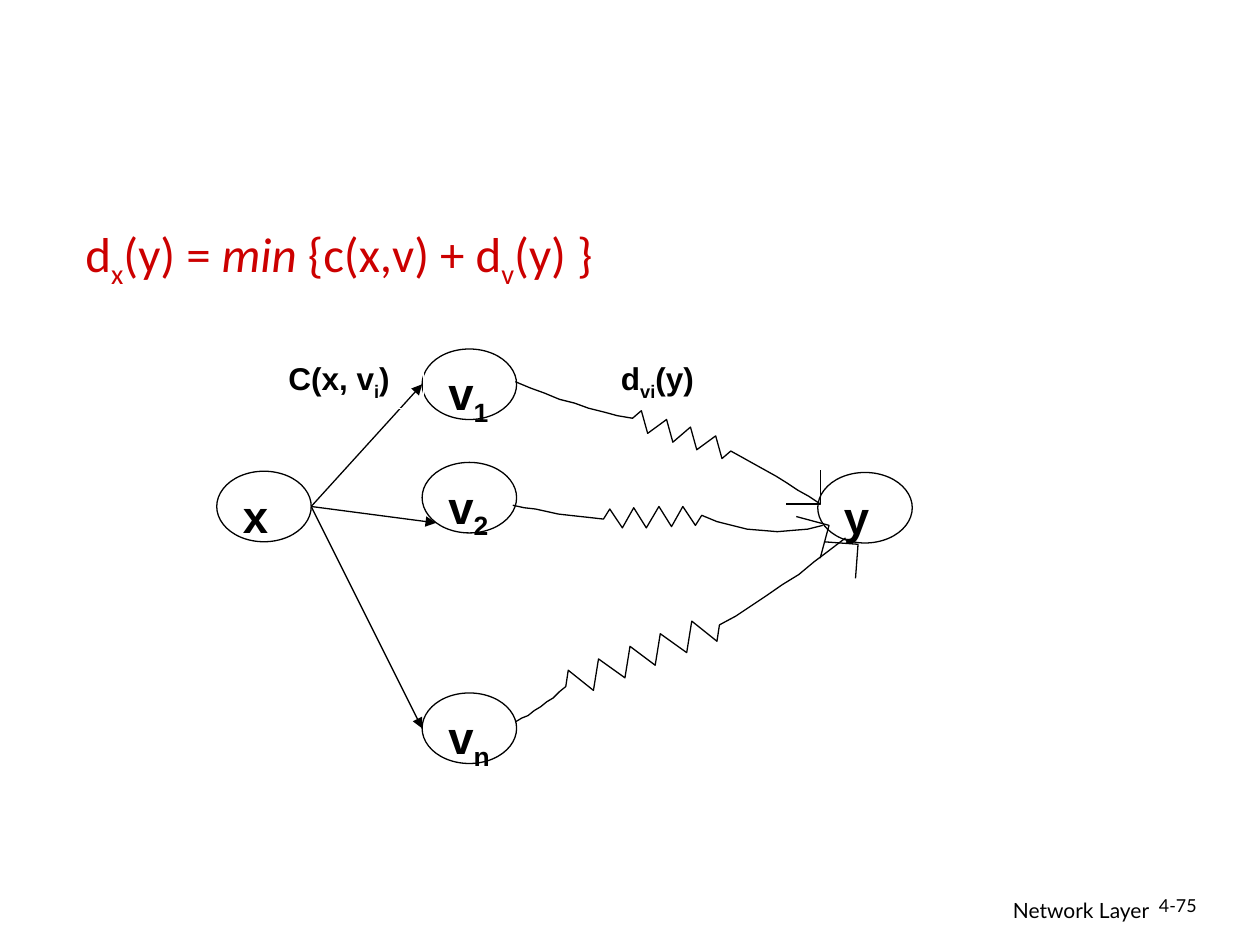
from math import cos, hypot, radians, sin

from lxml import etree
from pptx import Presentation
from pptx.dml.color import RGBColor
from pptx.enum.shapes import MSO_CONNECTOR, MSO_SHAPE
from pptx.enum.text import MSO_ANCHOR, MSO_AUTO_SIZE, PP_ALIGN
from pptx.oxml.ns import qn
from pptx.util import Cm, Pt

BLACK = RGBColor(0x00, 0x00, 0x00)
WHITE = RGBColor(0xFF, 0xFF, 0xFF)
RED = RGBColor(0xCC, 0x00, 0x00)
OVAL, RECTANGLE = MSO_SHAPE.OVAL, MSO_SHAPE.RECTANGLE
STRAIGHT = MSO_CONNECTOR.STRAIGHT
TOP = MSO_ANCHOR.TOP
LEFT, RIGHT = PP_ALIGN.LEFT, PP_ALIGN.RIGHT
FIT_SHAPE = MSO_AUTO_SIZE.SHAPE_TO_FIT_TEXT

# All positions are on a grid of hundredths of an inch.
GRID = Cm(0.0254)
LINE_WIDTH = Pt(0.75)

# Text is a list of (text, style); style is "", "sub" or "italic".
FORMULA = [("d", ""), ("x", "sub"), ("(y) = ", ""), ("min", "italic"),
           (" {c(x,v) + d", ""), ("v", "sub"), ("(y) }", "")]

NODE_WIDTH, NODE_HEIGHT = 75, 56
SOURCE = (172, 374)
TARGET = (649, 375)
VIA_LEFT = 335
VIA_TOPS = {"1": 277, "n": 550, "2": 367}
ARROW_SHIFTS = {"1": (0, 0), "2": (11, 20), "n": (0, 0)}

LABEL_SIZE = (117, 44)
LABELS = [
    ((219, 280), [("C(x, v", ""), ("i", "sub"), (")", "")]),
    ((483, 280), [("d", ""), ("vi", "sub"), ("(y)", "")]),
]

# A route runs from start to end, with a zigzag between the two middle points.
# Each sag is how far a lead bends downwards at its middle.
ROUTES = [
    {"start": (409, 303), "zigzag": ((502, 332), (580, 358)), "end": (651, 400),
     "teeth": 4, "height": 8, "sags": (3, -1), "tip": (651, 400), "heading": 225},
    {"start": (407, 401), "zigzag": ((479, 412), (557, 409)), "end": (653, 417),
     "teeth": 4, "height": 8, "sags": (1, 8), "tip": (658, 417), "heading": 150},
    {"start": (409, 573), "zigzag": ((449, 545), (571, 496)), "end": (671, 427),
     "teeth": 5, "height": 11, "sags": (2, 3), "tip": (681, 432), "heading": 140},
]
LEAD_STEPS = 8
BARB_LENGTH, BARB_SPREAD = 27, 45


def on_grid(*values):
    return [value * GRID for value in values]


def between(start, end, share):
    return tuple(a + (b - a) * share for a, b in zip(start, end))


def sagging_lead(start, end, sag):
    """Points of a shallow parabola from start to end."""
    points = []
    for step in range(LEAD_STEPS + 1):
        share = step / LEAD_STEPS
        x, y = between(start, end, share)
        points.append((x, y + 4 * sag * share * (1 - share)))
    return points


def zigzag(start, end, teeth, height):
    """Corners that lie in turn above and below the line from start to end."""
    run, fall = end[0] - start[0], end[1] - start[1]
    length = hypot(run, fall)
    corners = []
    for number in range(2 * teeth):
        x, y = between(start, end, (number + 0.5) / (2 * teeth))
        offset = height if number % 2 == 0 else -height
        corners.append((x + offset * fall / length, y - offset * run / length))
    return corners


def route_points(route):
    first, last = route["zigzag"]
    sag_in, sag_out = route["sags"]
    return (sagging_lead(route["start"], first, sag_in)
            + zigzag(first, last, route["teeth"], route["height"])
            + sagging_lead(last, route["end"], sag_out))


def head_points(tip, heading):
    """Open arrowhead whose barbs spread evenly about the heading in degrees."""
    angles = [radians(heading + turn) for turn in (-BARB_SPREAD, BARB_SPREAD)]
    first, second = [(tip[0] + BARB_LENGTH * cos(angle),
                      tip[1] + BARB_LENGTH * sin(angle)) for angle in angles]
    return [first, tip, second]


def write_text(shape, spans, font, size, color=BLACK, bold=False, wrap=True, align=LEFT):
    frame = shape.text_frame
    frame.word_wrap = wrap
    frame.vertical_anchor = TOP
    para = frame.paragraphs[0]
    para.alignment = align
    for text, style in spans:
        span = para.add_run()
        span.text = text
        span.font.name = font
        span.font.size = Pt(size)
        span.font.bold = bold
        span.font.italic = style == "italic"
        span.font.color.rgb = color
        if style == "sub":
            span._r.get_or_add_rPr().set("baseline", "-25000")
    return para


def set_line(shape, color=BLACK):
    shape.line.color.rgb = color
    shape.line.width = LINE_WIDTH


def add_node(page, place, spans):
    node = page.shapes.add_shape(OVAL, *on_grid(*place, NODE_WIDTH, NODE_HEIGHT))
    node.shadow.inherit = False
    node.fill.solid()
    node.fill.fore_color.rgb = WHITE
    set_line(node)
    write_text(node, spans, "Arial", 26, bold=True, wrap=False)


def add_label(page, place, spans):
    label = page.shapes.add_shape(RECTANGLE, *on_grid(*place, *LABEL_SIZE))
    label.shadow.inherit = False
    label.fill.background()
    set_line(label, WHITE)
    write_text(label, spans, "Arial", 18, bold=True)
    label.text_frame.auto_size = FIT_SHAPE


def add_arrow(page, start, end):
    arrow = page.shapes.add_connector(STRAIGHT, *on_grid(*start, *end))
    set_line(arrow)
    etree.SubElement(arrow.line._get_or_add_ln(), qn("a:tailEnd"), type="triangle")
    etree.SubElement(arrow._element.spPr, qn("a:effectLst"))


def add_open_path(page, points):
    builder = page.shapes.build_freeform(*points[0], scale=GRID)
    builder.add_line_segments(points[1:], close=False)
    outline = builder.convert_to_shape()
    outline.shadow.inherit = False
    outline.fill.background()
    set_line(outline)


def main():
    deck = Presentation()
    deck.slide_width, deck.slide_height = Cm(25.4), Cm(19.05)
    page = deck.slides.add_slide(deck.slide_layouts[6])

    formula = page.shapes.add_textbox(*on_grid(58, 175, 850, 508))
    para = write_text(formula, FORMULA, "Calibri", 28, RED)
    para.line_spacing = 0.85
    para.space_before = Pt(7)

    footer = page.shapes.add_textbox(*on_grid(605, 707, 317, 31))
    write_text(footer, [("Network Layer", "")], "Lato", 12, align=RIGHT)
    number = page.shapes.add_textbox(*on_grid(910, 707, 74, 30))
    write_text(number, [("4-75", "")], "Lato", 10.2).line_spacing = 0.9

    add_node(page, SOURCE, [("x", "")])
    for name, top in VIA_TOPS.items():
        add_node(page, (VIA_LEFT, top), [("v", ""), (name, "sub")])
    add_node(page, TARGET, [("y", "")])

    source_right = (SOURCE[0] + NODE_WIDTH, SOURCE[1] + NODE_HEIGHT / 2)
    for name, (shift_x, shift_y) in ARROW_SHIFTS.items():
        via_middle = VIA_TOPS[name] + NODE_HEIGHT / 2
        add_arrow(page, source_right, (VIA_LEFT + shift_x, via_middle + shift_y))

    for route in ROUTES:
        add_open_path(page, route_points(route))
        add_open_path(page, head_points(route["tip"], route["heading"]))
    for place, spans in LABELS:
        add_label(page, place, spans)

    deck.save("out.pptx")


if __name__ == "__main__":
    main()
